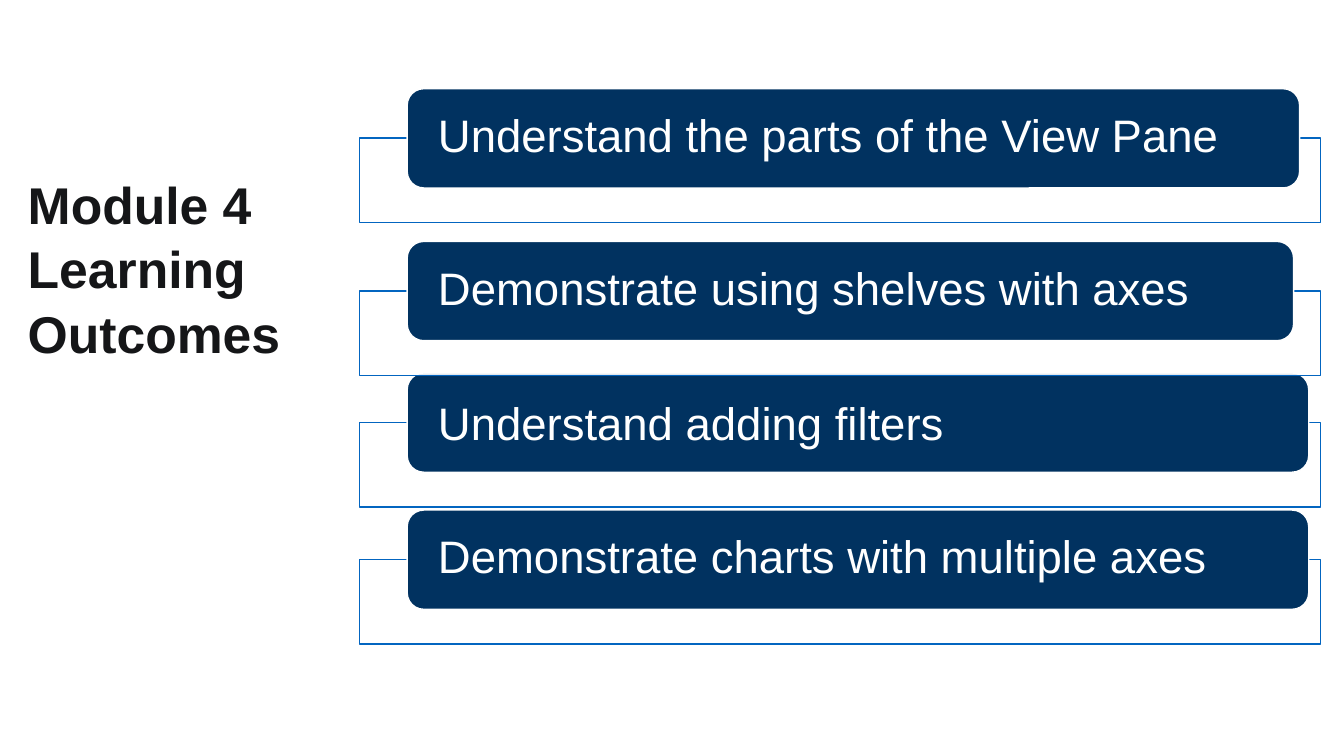
from pptx import Presentation
from pptx.dml.color import RGBColor
from pptx.enum.shapes import MSO_SHAPE
from pptx.enum.text import MSO_ANCHOR, MSO_AUTO_SIZE, PP_ALIGN
from pptx.oxml.ns import qn
from pptx.util import Inches, Pt
from lxml import etree

FRAME_LEFT, FRAME_WIDTH = 7.13, 19.08

# Groups from back to front: (outcome, frame top, bar width, label drop from bar top)
OUTCOME_GROUPS = [
    [("Understand adding filters", 8.38, 17.89, 0.56)],
    [("Demonstrate charts with multiple axes", 11.1, 17.89, 0.48)],
    [("Understand the parts of the View Pane", 2.74, 17.71, 0.48),
     ("Demonstrate using shelves with axes", 5.77, 17.59, 0.48)],
]


def rgb(color):
    return RGBColor.from_string(color)


def add_text(p, text, size, color, bold=False):
    r = p.add_run()
    r.text = text
    r.font.name = "Arial"
    r.font.size = Pt(size)
    r.font.bold = bold
    r.font.color.rgb = rgb(color)


def prepare_frame(tf, inset):
    tf.word_wrap = True
    tf.vertical_anchor = MSO_ANCHOR.MIDDLE
    tf.margin_left = tf.margin_right = Inches(inset)
    tf.margin_top = tf.margin_bottom = Inches(inset)


def add_box(group, kind, left, top, width, height, fill, line):
    sp = group.shapes.add_shape(kind, Inches(left), Inches(top),
                                Inches(width), Inches(height))
    sp.shadow.inherit = False
    sp.fill.solid()
    sp.fill.fore_color.rgb = rgb(fill)
    sp.line.color.rgb = rgb(line)
    sp.line.width = Pt(2)
    return sp


def add_title(s, left, top, width, height):
    title = s.shapes.title
    title.left, title.top = Inches(left), Inches(top)
    title.width, title.height = Inches(width), Inches(height)
    tf = title.text_frame
    tf.auto_size = MSO_AUTO_SIZE.NONE
    prepare_frame(tf, 0.1)
    p = tf.paragraphs[0]
    p.alignment = PP_ALIGN.LEFT
    p.line_spacing = 1.04
    add_text(p, "Module 4 Learning Outcomes", 73.8, "151618", bold=True)


def add_outcome(group, left, top, width, text, bar_width, label_drop):
    # Outlined frame, slightly transparent
    frame = add_box(group, MSO_SHAPE.RECTANGLE, left, top, width, 1.68,
                    "FFFFFF", "0365C0")
    color = frame.fill._xPr.find(qn("a:solidFill"))[0]
    etree.SubElement(color, qn("a:alpha"), val="89000")

    # Rounded bar across the frame's top edge
    bar_left, bar_top = left + 0.95, top - 0.98
    add_box(group, MSO_SHAPE.ROUNDED_RECTANGLE, bar_left, bar_top,
            bar_width, 1.97, "013260", "FFFFFF")

    # Label on the bar
    label = group.shapes.add_textbox(
        Inches(bar_left + 0.61), Inches(bar_top + label_drop),
        Inches(bar_width - 1.21), Inches(0.98))
    tf = label.text_frame
    prepare_frame(tf, 0)
    p = tf.paragraphs[0]
    p.line_spacing = 0.9
    add_text(p, text, 65, "FFFFFF")


def main():
    prs = Presentation()
    prs.slide_width, prs.slide_height = Inches(26.67), Inches(15)
    s = prs.slides.add_slide(prs.slide_layouts[5])
    add_title(s, 0.45, 3.22, 6.21, 4.15)
    for outcomes in OUTCOME_GROUPS:
        group = s.shapes.add_group_shape()
        for text, top, bar_width, label_drop in outcomes:
            add_outcome(group, FRAME_LEFT, top, FRAME_WIDTH,
                        text, bar_width, label_drop)
    prs.save("out.pptx")


if __name__ == "__main__":
    main()
